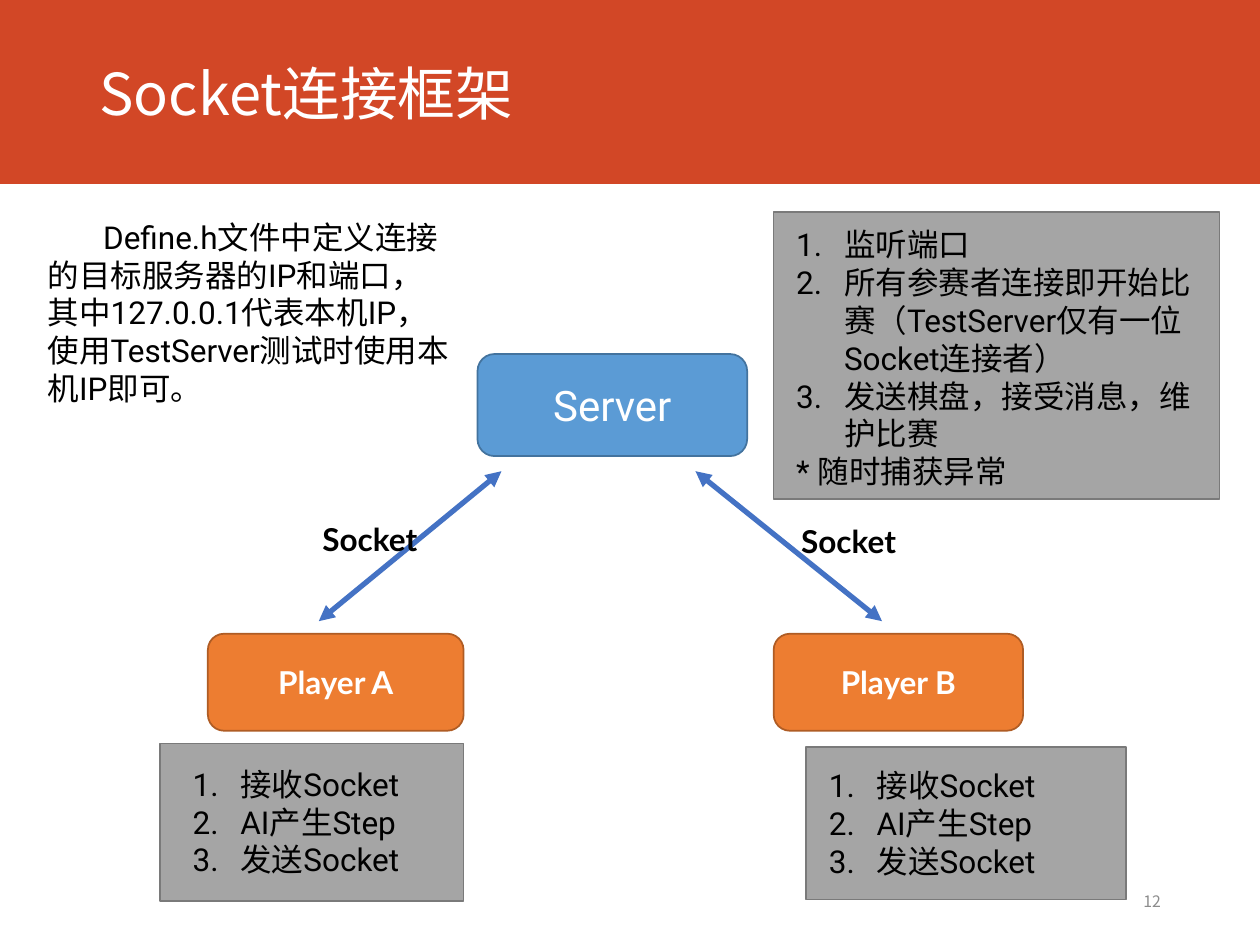
from lxml.etree import SubElement
from pptx import Presentation
from pptx.dml.color import RGBColor
from pptx.enum.shapes import MSO_CONNECTOR as Connector, MSO_SHAPE as Shape
from pptx.enum.text import MSO_ANCHOR as Anchor, PP_ALIGN as Align
from pptx.oxml.ns import qn
from pptx.util import Inches, Pt

WHITE = RGBColor(0xFF, 0xFF, 0xFF)
BLACK = RGBColor(0, 0, 0)
RED = RGBColor(0xD2, 0x47, 0x26)
GRAY = RGBColor(0xA5, 0xA5, 0xA5)
GRAY_EDGE = RGBColor(0x7A, 0x7A, 0x7A)
BLUE = RGBColor(0x5B, 0x9B, 0xD5)
BLUE_EDGE = RGBColor(0x43, 0x73, 0x9E)
ORANGE = RGBColor(0xED, 0x7D, 0x31)
ORANGE_EDGE = RGBColor(0xAF, 0x5C, 0x24)
ARROW = RGBColor(0x44, 0x72, 0xC4)
PALE = RGBColor(0x8C, 0x8C, 0x8C)

TITLE = dict(name="Noto Sans CJK SC", size=Pt(33), color=WHITE)
BODY = dict(name="Roboto", size=Pt(18), color=BLACK)
SERVER = dict(name="Roboto", size=Pt(24), color=WHITE)
PLAYER = dict(name="Lato", size=Pt(18), color=WHITE, bold=True)
LABEL = dict(PLAYER, color=BLACK)
NUMBER = dict(name="Noto Sans CJK SC", size=Pt(9), color=PALE)

HANGING = (0.38, -0.38)
FIRST_LINE = (0, 0.44)
INTRO = ("Define.h文件中定义连接的目标服务器的IP和端口，其中127.0.0.1代表本机IP，"
         "使用TestServer测试时使用本机IP即可。")
SERVER_STEPS = ["监听端口",
                "所有参赛者连接即开始比赛（TestServer仅有一位Socket连接者）",
                "发送棋盘，接受消息，维护比赛"]
PLAYER_STEPS = ["接收Socket", "AI产生Step", "发送Socket"]

PANELS = [(6.14, 1.68, 3.54, 2.28), (1.27, 5.9, 2.41, 1.25), (6.4, 5.93, 2.54, 1.21)]
LISTS = [
    ((6.22, 1.74, 3.38, 2.64), SERVER_STEPS, ["* 随时捕获异常"]),
    ((1.43, 6.02, 2.02, 1.01), PLAYER_STEPS, []),
    ((6.48, 6.03, 1.94, 1.01), PLAYER_STEPS, []),
]
NODES = [
    ("Server", (3.79, 2.81, 2.14, 0.81), BLUE, BLUE_EDGE, SERVER),
    ("Player A", (1.65, 5.03, 2.03, 0.77), ORANGE, ORANGE_EDGE, PLAYER),
    ("Player B", (6.14, 5.03, 1.98, 0.77), ORANGE, ORANGE_EDGE, PLAYER),
]
LINKS = [((2.53, 4.93), (3.98, 3.74)), ((7, 4.93), (5.52, 3.74))]
LINK_LABELS = [(2.46, 4.08, 0.99, 0.4), (6.26, 4.09, 1.1, 0.4)]


def inches(values):
    return [Inches(value) for value in values]


def write(para, text, style):
    span = para.add_run()
    span.text = text
    for key, value in style.items():
        if key == "color":
            span.font.color.rgb = value
        else:
            setattr(span.font, key, value)
    SubElement(span.font._element, qn("a:ea"), typeface=style["name"])


def indent(para, margins, numbered=False):
    properties = para._p.get_or_add_pPr()
    for key, value in zip(("marL", "indent"), inches(margins)):
        properties.set(key, str(value))
    if numbered:
        SubElement(properties, qn("a:buAutoNum"), type="arabicPeriod")


def add_block(page, kind, place, fill, edge=None):
    block = page.shapes.add_shape(kind, *inches(place))
    block.shadow.inherit = False
    block.fill.solid()
    block.fill.fore_color.rgb = fill
    if edge is None:
        block.line.fill.background()
    else:
        block.line.color.rgb = edge
        block.line.width = Pt(1)
    return block


def add_text(page, place, text, style):
    box = page.shapes.add_textbox(*inches(place))
    box.text_frame.word_wrap = True
    para = box.text_frame.paragraphs[0]
    write(para, text, style)
    return box.text_frame, para


def add_list(page, place, steps, remarks):
    frame, first = add_text(page, place, steps[0], BODY)
    indent(first, HANGING, True)
    for text in steps[1:] + remarks:
        para = frame.add_paragraph()
        if text in steps:
            indent(para, HANGING, True)
        write(para, text, BODY)


def add_link(page, start, end):
    link = page.shapes.add_connector(Connector.STRAIGHT, *inches(start + end))
    link.line.color.rgb = ARROW
    link.line.width = Pt(3)
    properties = link._element.spPr
    for tip in ("a:headEnd", "a:tailEnd"):
        SubElement(properties.find(qn("a:ln")), qn(tip), type="triangle")
    SubElement(properties, qn("a:effectLst"))


def main():
    deck = Presentation()
    deck.slide_width, deck.slide_height = Inches(10), Inches(7.5)
    page = deck.slides.add_slide(deck.slide_layouts[5])

    title = page.shapes.title
    title.left, title.top, title.width, title.height = inches((0.69, 0.01, 8.62, 1.45))
    title.text_frame.vertical_anchor = Anchor.MIDDLE
    heading = title.text_frame.paragraphs[0]
    heading.alignment = Align.LEFT
    write(heading, "Socket连接框架", TITLE)
    banner = add_block(page, Shape.RECTANGLE, (0, 0, 10, 1.46), RED)
    title._element.addprevious(banner._element)

    for place in PANELS:
        add_block(page, Shape.RECTANGLE, place, GRAY, GRAY_EDGE)
    for place, steps, remarks in LISTS:
        add_list(page, place, steps, remarks)

    for name, place, fill, edge, style in NODES:
        node = add_block(page, Shape.ROUNDED_RECTANGLE, place, fill, edge)
        node.text_frame.vertical_anchor = Anchor.MIDDLE
        para = node.text_frame.paragraphs[0]
        para.alignment = Align.CENTER
        write(para, name, style)

    for start, end in LINKS:
        add_link(page, start, end)
    for place in LINK_LABELS:
        add_text(page, place, "Socket", LABEL)

    intro = add_text(page, (0.28, 1.68, 3.39, 1.62), INTRO, BODY)[1]
    indent(intro, FIRST_LINE)
    frame, number = add_text(page, (6.62, 6.95, 2.69, 0.4), "12", NUMBER)
    frame.vertical_anchor = Anchor.MIDDLE
    number.alignment = Align.RIGHT

    deck.save("out.pptx")


if __name__ == "__main__":
    main()
